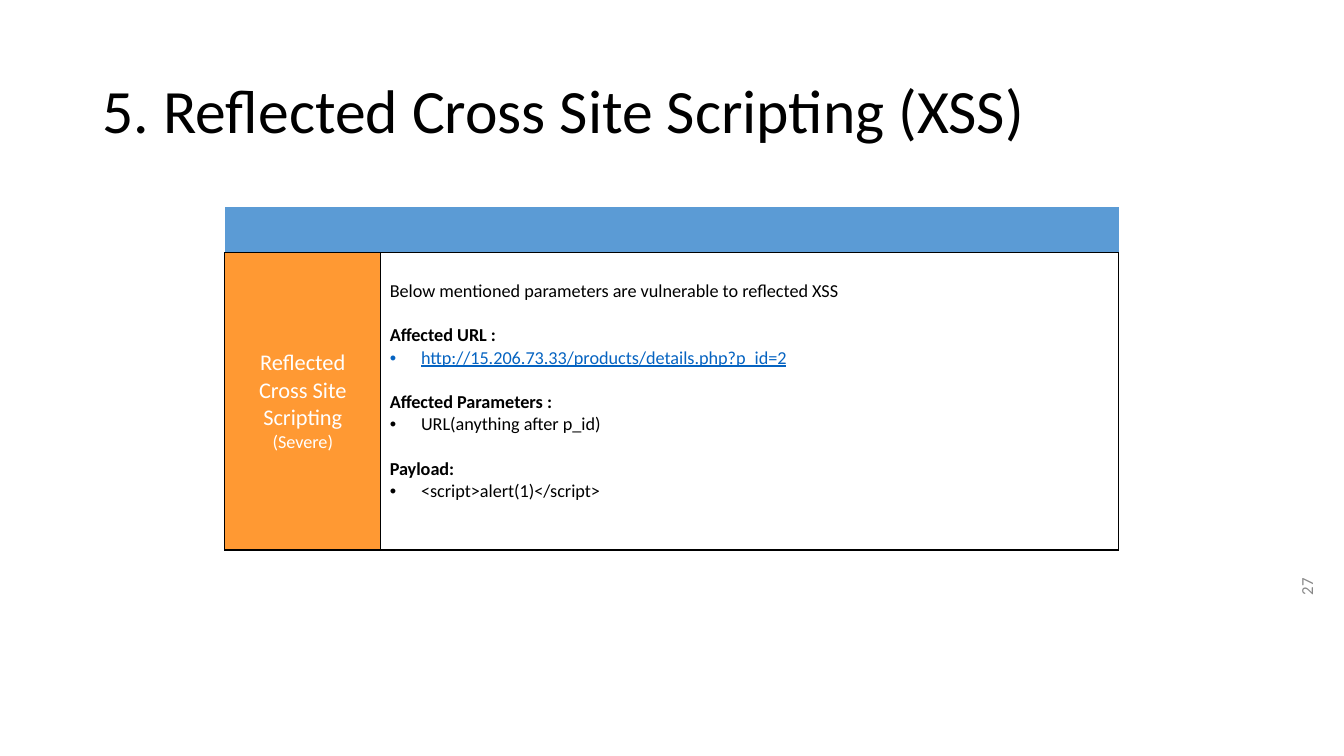
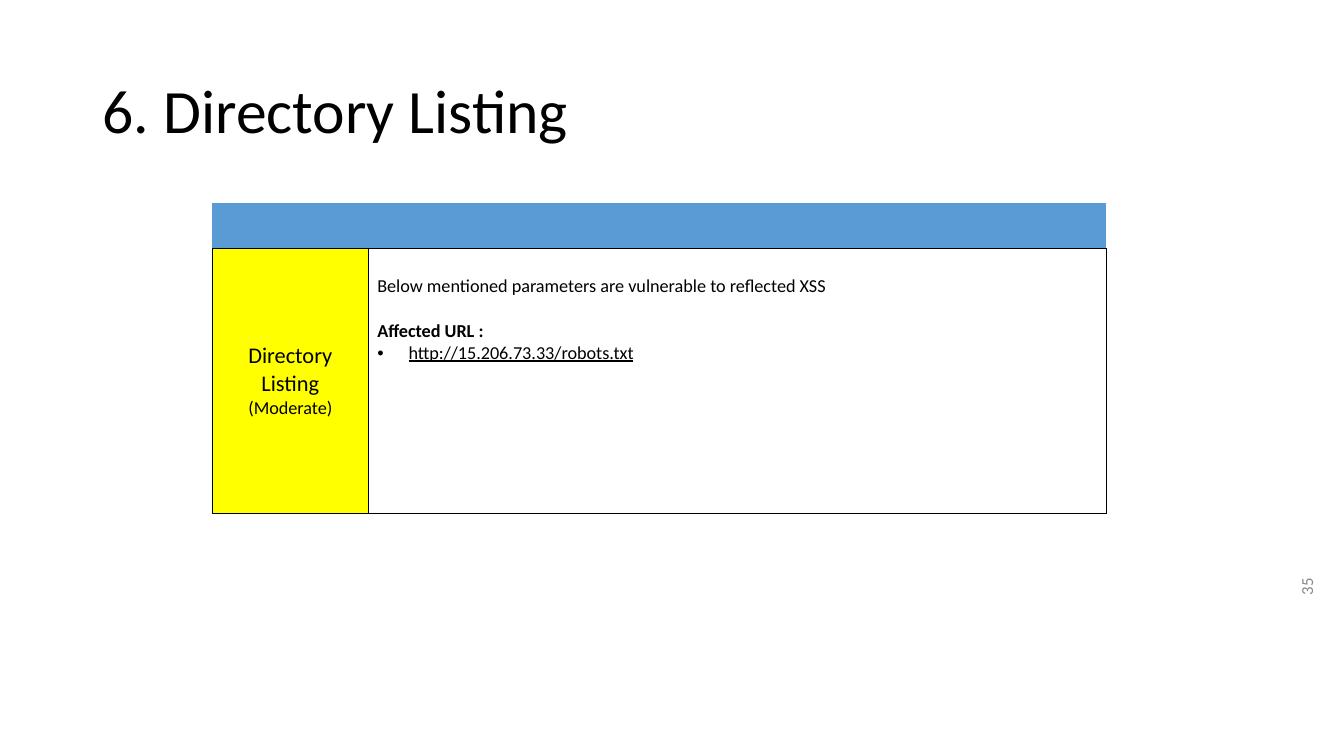
from dataclasses import dataclass

from lxml import etree
from pptx import Presentation
from pptx.dml.color import RGBColor
from pptx.enum.text import MSO_ANCHOR, PP_ALIGN
from pptx.oxml.ns import qn
from pptx.util import Emu, Inches, Pt

LEFT, CENTER, RIGHT = PP_ALIGN.LEFT, PP_ALIGN.CENTER, PP_ALIGN.RIGHT
MIDDLE, TOP = MSO_ANCHOR.MIDDLE, MSO_ANCHOR.TOP

SLIDE_WIDTH, SLIDE_HEIGHT = Inches(13.33), Inches(7.5)
FONT = "Calibri"
COLORS = {
    "black": "000000", "white": "FFFFFF", "gray": "888888",
    "header": "5B9BD5", "link": "0563C1",
    "severe": "FF9933", "moderate": "FFFF00",
}

# Shared geometry, in percent of the slide's width or height
TITLE_BOX = (6.9, 5.33, 86.25, 19.33)
NUMBER_BOX = (91.8, 81.47, 10.8, 6.67)
COLUMN_WIDTHS = (11.6, 54.9)
HEADER_HEIGHT = 6.05

BODY_SIZE = 13
SECTION_GAP = Pt(16)
BULLET_INDENT = Inches(0.31)
BORDER_WIDTH = Pt(1)
SIDES = ("L", "R", "T", "B")


@dataclass(frozen=True)
class Section:
    heading: str
    item: str
    color: str = "black"
    underline: bool = False


@dataclass(frozen=True)
class Finding:
    title: str
    number: str
    name: str
    severity: str
    fill: str
    name_color: str
    left: float
    top: float
    body_height: float
    intro: str
    sections: tuple[Section, ...]


INTRO = "Below mentioned parameters are vulnerable to reflected XSS"
FINDINGS = (
    Finding(
        "5. Reflected Cross Site Scripting (XSS)", "27",
        "Reflected Cross Site Scripting ", "(Severe)", "severe", "white",
        16.73, 27.4, 39.3, INTRO,
        (
            Section("Affected URL :", "http://15.206.73.33/products/details.php?p_id=2",
                    "link", True),
            Section("Affected Parameters :", "URL(anything after p_id)"),
            Section("Payload:", "<script>alert(1)</script>"),
        ),
    ),
    Finding(
        "6. Directory Listing", "35",
        "Directory Listing ", "(Moderate)", "moderate", "black",
        15.8, 26.8, 35.1, INTRO,
        (Section("Affected URL :", "http://15.206.73.33/robots.txt", underline=True),),
    ),
)


def across(percent: float) -> Emu:
    return Emu(round(SLIDE_WIDTH * percent / 100))


def down(percent: float) -> Emu:
    return Emu(round(SLIDE_HEIGHT * percent / 100))


def place(box: tuple[float, float, float, float]) -> tuple[Emu, Emu, Emu, Emu]:
    left, top, width, height = box
    return across(left), down(top), across(width), down(height)


def rgb(name: str) -> RGBColor:
    return RGBColor.from_string(COLORS[name])


def format_run(run, size: float, color: str, bold: bool = False,
               underline: bool = False) -> None:
    run.font.name = FONT
    run.font.size = Pt(size)
    run.font.bold = bold
    run.font.underline = underline
    run.font.color.rgb = rgb(color)


def set_single_line(text_frame, text: str, size: float, color: str, alignment) -> None:
    text_frame.text = text
    text_frame.word_wrap = True
    text_frame.vertical_anchor = MIDDLE
    paragraph = text_frame.paragraphs[0]
    paragraph.alignment = alignment
    format_run(paragraph.runs[0], size, color)


def add_bullet(paragraph) -> None:
    properties = paragraph._p.get_or_add_pPr()
    properties.set("marL", str(BULLET_INDENT))
    properties.set("indent", str(-BULLET_INDENT))
    etree.SubElement(properties, qn("a:buFont")).set("typeface", "Arial")
    etree.SubElement(properties, qn("a:buChar")).set("char", "•")


def style_cell(cell, fill: str, bordered_sides: tuple[str, ...]) -> None:
    properties = cell._tc.get_or_add_tcPr()
    for side in SIDES:
        line = etree.SubElement(properties, qn(f"a:ln{side}"))
        if side in bordered_sides:
            line.set("w", str(BORDER_WIDTH))
            solid = etree.SubElement(line, qn("a:solidFill"))
            etree.SubElement(solid, qn("a:srgbClr")).set("val", COLORS["black"])
        else:
            etree.SubElement(line, qn("a:noFill"))
    cell.fill.solid()
    cell.fill.fore_color.rgb = rgb(fill)
    cell.margin_left = cell.margin_right = Inches(0.09)
    cell.margin_top = cell.margin_bottom = Inches(0.05)


def write_name(cell, finding: Finding) -> None:
    cell.vertical_anchor = MIDDLE
    paragraph = cell.text_frame.paragraphs[0]
    paragraph.alignment = CENTER
    for text, size in ((finding.name, 16), (finding.severity, BODY_SIZE)):
        run = paragraph.add_run()
        run.text = text
        format_run(run, size, finding.name_color)


def write_details(cell, finding: Finding) -> None:
    cell.vertical_anchor = TOP
    cell.margin_top = Inches(0.27)
    text_frame = cell.text_frame
    text_frame.text = finding.intro
    format_run(text_frame.paragraphs[0].runs[0], BODY_SIZE, "black")
    for section in finding.sections:
        heading = text_frame.add_paragraph()
        heading.text = section.heading
        heading.space_before = SECTION_GAP
        format_run(heading.runs[0], BODY_SIZE, "black", bold=True)
        item = text_frame.add_paragraph()
        item.text = section.item
        add_bullet(item)
        format_run(item.runs[0], BODY_SIZE, section.color, underline=section.underline)


def add_finding_table(slide, finding: Finding) -> None:
    row_heights = (HEADER_HEIGHT, finding.body_height)
    box = (finding.left, finding.top, sum(COLUMN_WIDTHS), sum(row_heights))
    table = slide.shapes.add_table(2, 2, *place(box)).table
    table.horz_banding = False
    for column, width in zip(table.columns, COLUMN_WIDTHS):
        column.width = across(width)
    for row, height in zip(table.rows, row_heights):
        row.height = down(height)

    # Header band
    for cell in table.rows[0].cells:
        style_cell(cell, "header", ("B",))

    # Finding and its details
    name_cell, details_cell = table.rows[1].cells
    style_cell(name_cell, finding.fill, SIDES)
    style_cell(details_cell, "white", SIDES)
    write_name(name_cell, finding)
    write_details(details_cell, finding)


def add_title(slide, text: str) -> None:
    title = slide.shapes.title
    title.left, title.top, title.width, title.height = place(TITLE_BOX)
    set_single_line(title.text_frame, text, 44, "black", LEFT)
    title.text_frame.paragraphs[0].line_spacing = 0.9


def add_number(slide, text: str) -> None:
    number = slide.shapes.add_textbox(*place(NUMBER_BOX))
    number.rotation = 270
    set_single_line(number.text_frame, text, 12, "gray", RIGHT)


def main() -> None:
    presentation = Presentation()
    presentation.slide_width, presentation.slide_height = SLIDE_WIDTH, SLIDE_HEIGHT
    title_only = presentation.slide_layouts.get_by_name("Title Only")
    for finding in FINDINGS:
        slide = presentation.slides.add_slide(title_only)
        add_number(slide, finding.number)
        add_title(slide, finding.title)
        add_finding_table(slide, finding)
    presentation.save("out.pptx")


if __name__ == "__main__":
    main()
